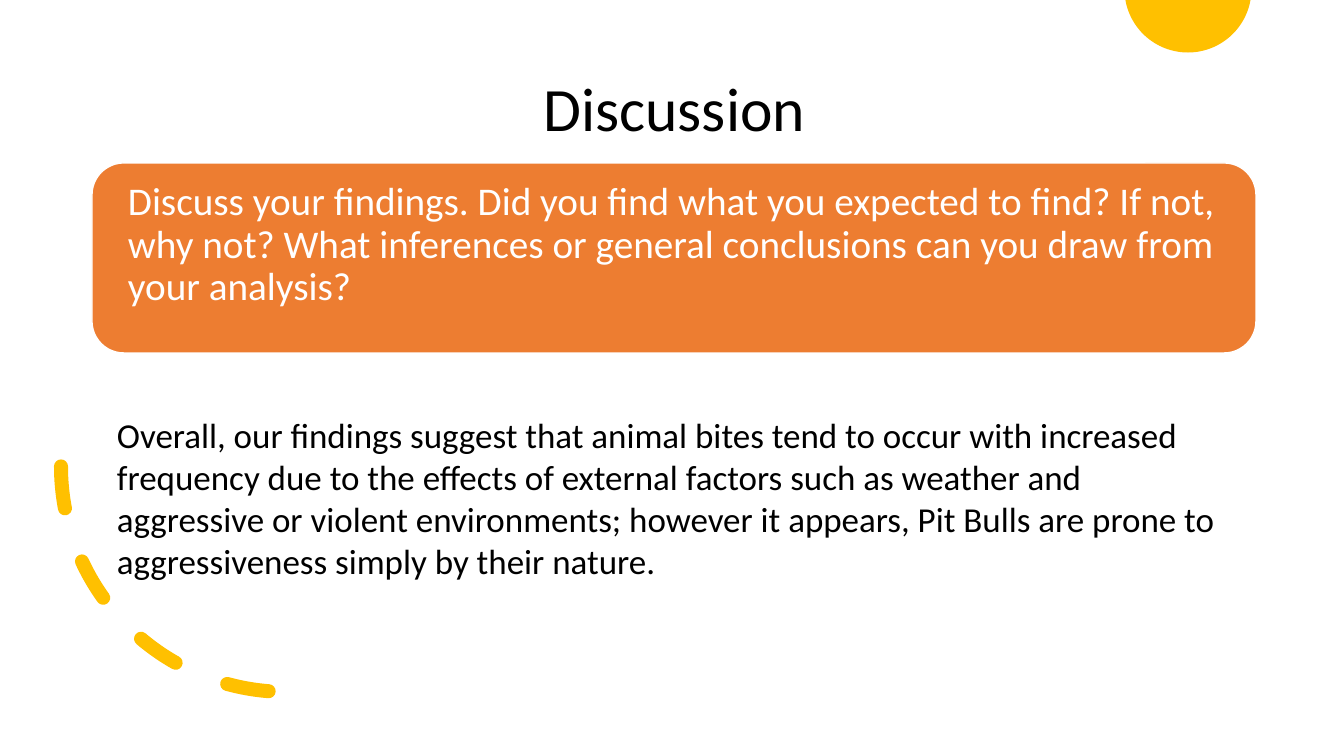
import math
from dataclasses import dataclass

import pptx
import pptx.dml.color
import pptx.enum.dml
import pptx.enum.shapes
import pptx.enum.text
import pptx.oxml
import pptx.oxml.ns
import pptx.util

# Content
HEADING = "Discussion"
PROMPT = ("Discuss your findings. Did you find what you expected to find? If not, "
          "why not? What inferences or general conclusions can you draw from your analysis?")
FINDINGS = ("Overall, our findings suggest that animal bites tend to occur with increased "
            "frequency due to the effects of external factors such as weather and "
            "aggressive or violent environments; however it appears, Pit Bulls are prone to "
            "aggressiveness simply by their nature.")

# Places in px: left, top, width, height
SLIDE_SIZE = (1344, 756)
HEADING_BOX = (95, 39, 1159, 146)
PROMPT_PANEL = (92, 163, 1164, 190)
PROMPT_BOX = (93, 177, 1159, 159)
FINDINGS_BOX = (107, 404, 1135, 190)
DASHED_ARC = (61, 241, 451, 451)
SUN_CENTER, SUN_RADIUS = (1188, -11), 63.5
INSET_X, INSET_Y, INDENT = 10, 5, 25


@dataclass(frozen=True)
class Theme:
    font: str = "Calibri"
    black: str = "000000"
    white: str = "FFFFFF"
    orange: str = "ED7D31"
    gold: str = "FFC000"
    heading: int = 44
    prompt: int = 28
    findings: int = 25


THEME = Theme()
ALIGN = pptx.enum.text.PP_ALIGN
ANCHOR = pptx.enum.text.MSO_ANCHOR
SHAPE = pptx.enum.shapes.MSO_SHAPE


def px(length):
    return pptx.util.Emu(round(length * 914400 / 100.8))


def rgb(color):
    return pptx.dml.color.RGBColor.from_string(color)


def place(shape, box):
    shape.left, shape.top, shape.width, shape.height = map(px, box)


def write(shape, text, *, size, color, align=ALIGN.LEFT, anchor=ANCHOR.TOP,
          inset_y=INSET_Y, line_spacing=1.0, indent=0):
    frame = shape.text_frame
    frame.word_wrap = True
    frame.auto_size = pptx.enum.text.MSO_AUTO_SIZE.NONE
    frame.vertical_anchor = anchor
    frame.margin_left = frame.margin_right = px(INSET_X)
    frame.margin_top = frame.margin_bottom = px(inset_y)
    frame.text = text
    paragraph = frame.paragraphs[0]
    properties = paragraph.line_spacing = line_spacing
    paragraph.space_before = pptx.util.Pt(0)
    paragraph.alignment = align
    properties = paragraph._p.get_or_add_pPr()
    properties.set("marL", str(px(indent)))
    properties.set("indent", "0")
    properties.append(pptx.oxml.parse_xml(
        f"<a:buNone {pptx.oxml.ns.nsdecls('a')}/>"))
    font = paragraph.runs[0].font
    font.name, font.size = THEME.font, pptx.util.Pt(size)
    font.color.rgb = rgb(color)


def paint(shape, fill=None, line=None, width=1):
    shape.shadow.inherit = False
    for part, color in ((shape.fill, fill), (shape.line.fill, line)):
        if color:
            part.solid()
            part.fore_color.rgb = rgb(color)
        else:
            part.background()
    if line:
        shape.line.width = pptx.util.Pt(width)


def main():
    deck = pptx.Presentation()
    deck.slide_width, deck.slide_height = map(px, SLIDE_SIZE)
    slide = deck.slides.add_slide(deck.slide_layouts[1])
    shapes = slide.shapes
    heading, prompt = slide.placeholders

    # Sun cut off by the top edge
    (center_x, center_y), radius = SUN_CENTER, SUN_RADIUS
    start = math.asin(-center_y / radius)
    steps = 60
    rim = []
    for step in range(steps + 1):
        angle = start + (math.pi - 2 * start) * step / steps
        rim.append((px(center_x + radius * math.cos(angle)),
                    px(center_y + radius * math.sin(angle))))
    builder = shapes.build_freeform(*rim[0])
    builder.add_line_segments(rim[1:], close=True)
    paint(builder.convert_to_shape(), fill=THEME.gold)

    # Heading
    place(heading, HEADING_BOX)
    write(heading, HEADING, size=THEME.heading, color=THEME.black,
          align=ALIGN.CENTER, anchor=ANCHOR.MIDDLE, line_spacing=0.9)

    # Dashed arc with round ends
    arc = shapes.add_shape(SHAPE.ARC, *map(px, DASHED_ARC))
    arc.adjustments[0], arc.adjustments[1] = 162, 0
    arc.rotation = 270
    arc.element.spPr.find(pptx.oxml.ns.qn("a:xfrm")).set("flipH", "1")
    paint(arc, line=THEME.gold, width=10)
    arc.line.dash_style = pptx.enum.dml.MSO_LINE.DASH
    arc.line.fill  # the line element exists from here on
    arc.element.spPr.find(pptx.oxml.ns.qn("a:ln")).set("cap", "rnd")

    # Prompt on its panel
    panel = shapes.add_shape(SHAPE.ROUNDED_RECTANGLE, *map(px, PROMPT_PANEL))
    panel.adjustments[0] = 0.167
    paint(panel, fill=THEME.orange, line=THEME.white)
    place(prompt, PROMPT_BOX)
    write(prompt, PROMPT, size=THEME.prompt, color=THEME.white,
          line_spacing=0.9, indent=INDENT)
    panel.element.addnext(prompt.element)

    # Findings
    findings = shapes.add_textbox(*map(px, FINDINGS_BOX))
    write(findings, FINDINGS, size=THEME.findings, color=THEME.black, inset_y=10)

    deck.save("out.pptx")


if __name__ == "__main__":
    main()
